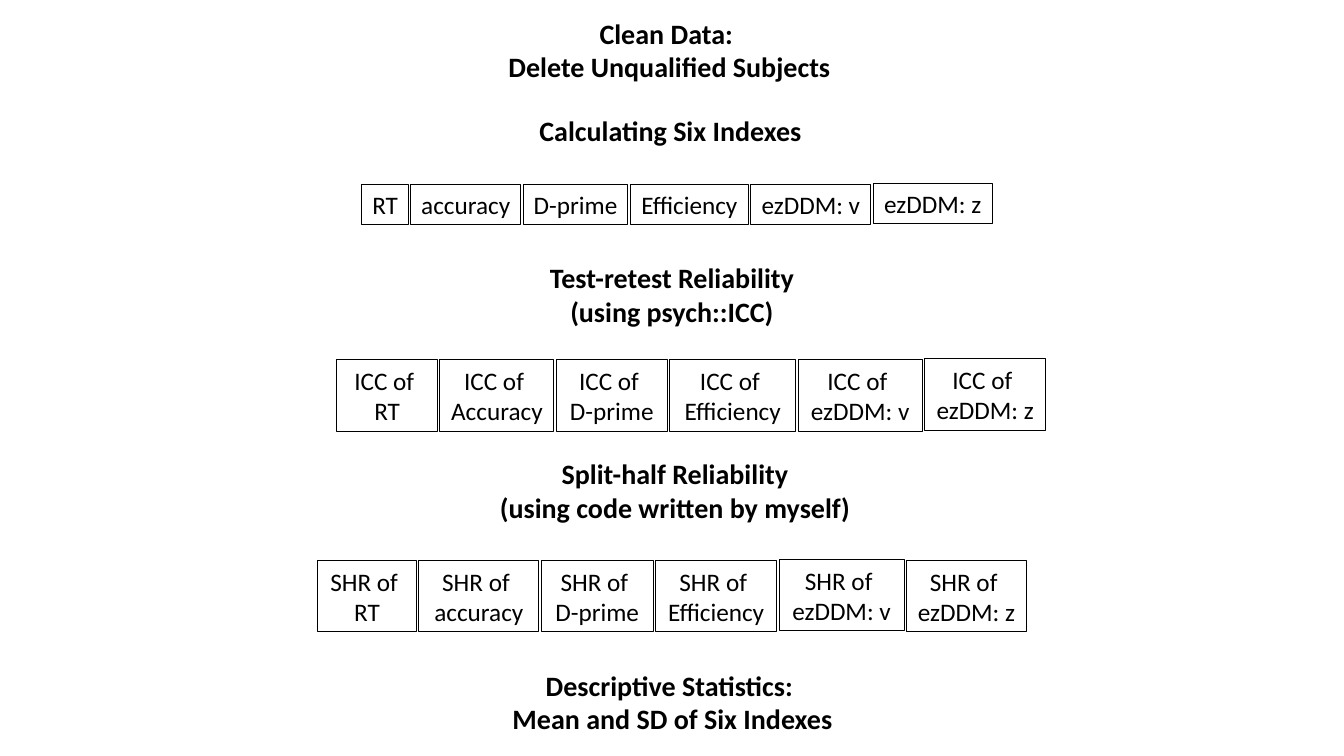
import pptx
import pptx.util
import pptx.dml.color
import pptx.enum.shapes
import pptx.enum.text

Inches, Pt = pptx.util.Inches, pptx.util.Pt
COLORS = {"ink": "000000"}
FONT = "Calibri"
GAP = Pt(1.75)
RAISE = Inches(0.01)

HEADINGS = [
    ("Clean Data: \nDelete Unqualified Subjects", 4.89, 0.11, 3.5, 0.77),
    ("Calculating Six Indexes", 5.21, 1.08, 2.88, 0.44),
    ("Test-retest Reliability\n(using psych::ICC)", 5.35, 2.54, 2.63, 0.77),
    ("Split-half Reliability\n(using code written by myself)", 4.84, 4.48, 3.71, 0.77),
    ("Descriptive Statistics: \nMean and SD of Six Indexes", 4.97, 6.58, 3.4, 0.77),
]
ROWS = [
    {"prefix": "", "second": "accuracy", "left": 3.59, "top": 1.83, "height": 0.4,
     "widths": [0.46, 1.09, 1.04, 1.17, 1.19, 1.18], "raised": 5, "wrap": False},
    {"prefix": "ICC of \n", "second": "Accuracy", "left": 3.34, "top": 3.57, "height": 0.71,
     "widths": [1, 1.13, 1.1, 1.25, 1.23, 1.2], "raised": 5, "wrap": True},
    {"prefix": "SHR of \n", "second": "accuracy", "left": 3.15, "top": 5.56, "height": 0.71,
     "widths": [0.98, 1.19, 1.11, 1.2, 1.24, 1.19], "raised": 4, "wrap": True},
]


def ink():
    return pptx.dml.color.RGBColor.from_string(COLORS["ink"])


def write(shape, text, size, bold=False, wrap=True):
    frame = shape.text_frame
    frame.text = text
    frame.word_wrap = wrap
    frame.auto_size = pptx.enum.text.MSO_AUTO_SIZE.SHAPE_TO_FIT_TEXT
    for para in frame.paragraphs:
        para.alignment = pptx.enum.text.PP_ALIGN.CENTER
        for span in para.runs:
            span.font.name = FONT
            span.font.size = Pt(size)
            span.font.bold = bold
            span.font.color.rgb = ink()


def add_row(page, row):
    group = page.shapes.add_group_shape()
    names = ["RT", row["second"], "D-prime", "Efficiency", "ezDDM: v", "ezDDM: z"]
    left = Inches(row["left"])
    for index, (name, inches) in enumerate(zip(names, row["widths"])):
        width = Inches(inches)
        top = Inches(row["top"]) - (RAISE if index == row["raised"] else 0)
        box = group.shapes.add_shape(pptx.enum.shapes.MSO_SHAPE.RECTANGLE,
                                     left, top, width, Inches(row["height"]))
        box.shadow.inherit = False
        box.fill.background()
        box.line.color.rgb = ink()
        box.line.width = Pt(0.75)
        write(box, row["prefix"] + name, 18, wrap=row["wrap"])
        left += width + GAP


deck = pptx.Presentation()
deck.slide_width, deck.slide_height = Inches(13.33), Inches(7.5)
page = deck.slides.add_slide(deck.slide_layouts[6])
for text, *place in HEADINGS:
    write(page.shapes.add_textbox(*map(Inches, place)), text, 20, bold=True)
for row in ROWS:
    add_row(page, row)
deck.save("out.pptx")
